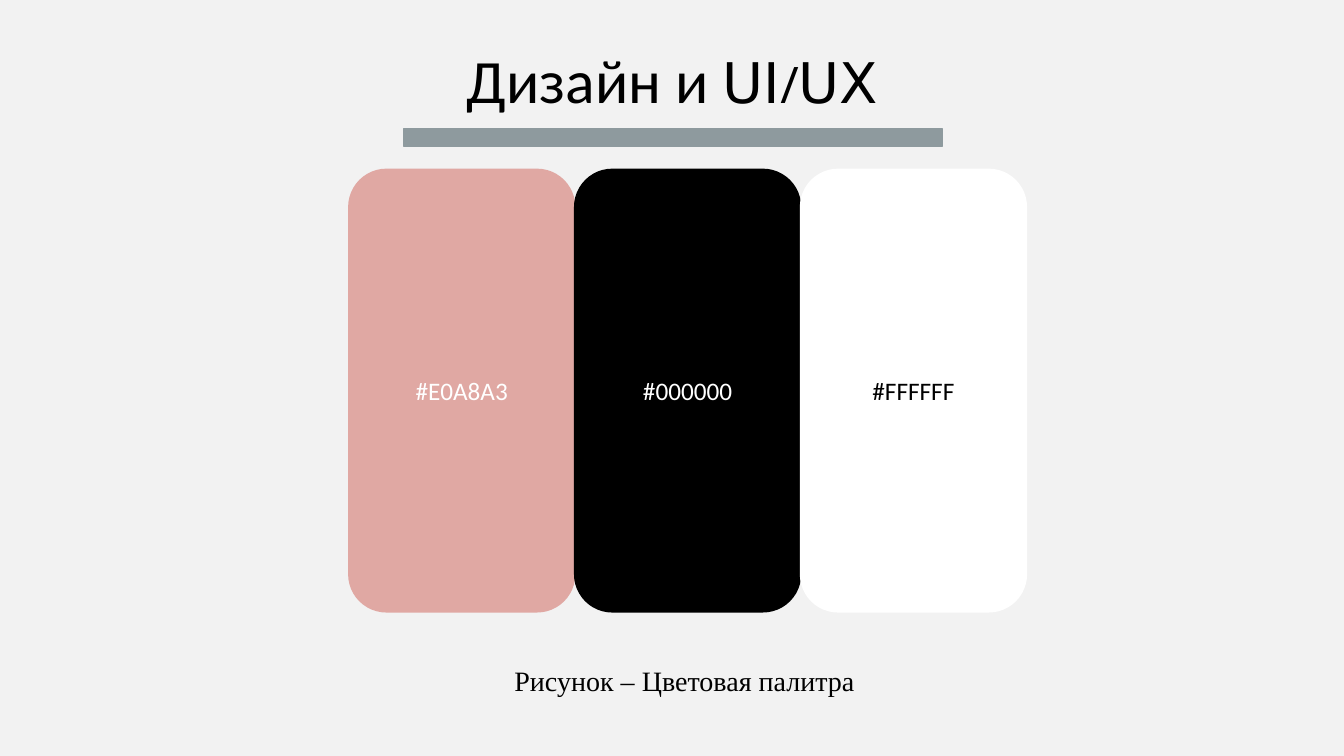
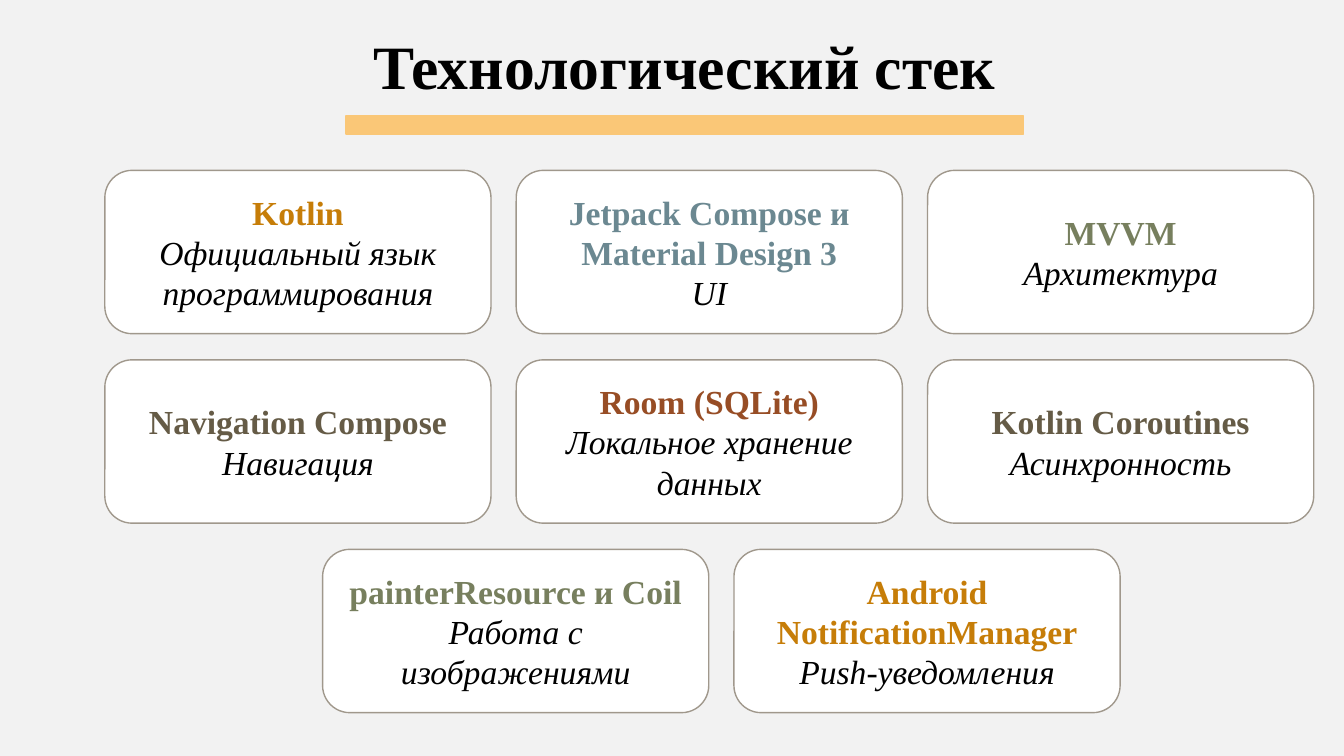
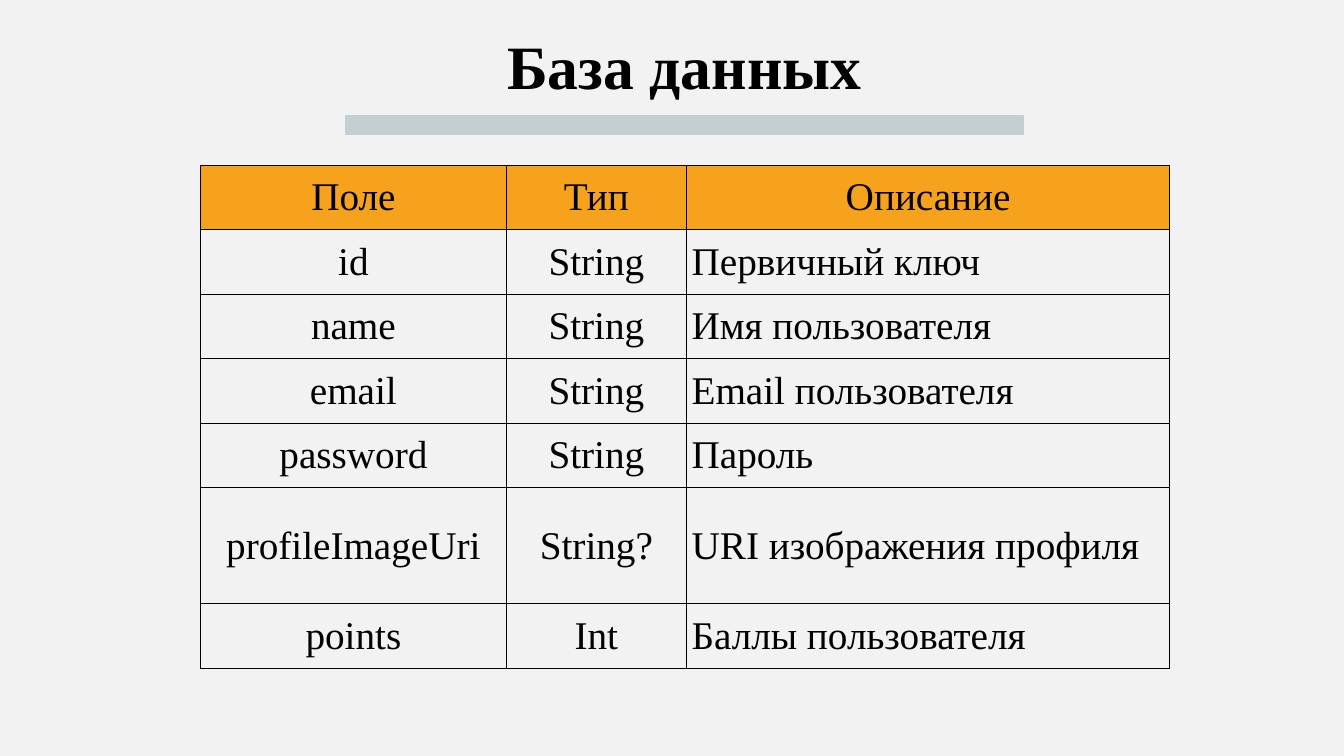
from lxml import etree
from pptx import Presentation
from pptx.dml.color import RGBColor
from pptx.enum.shapes import MSO_SHAPE
from pptx.enum.text import MSO_ANCHOR, MSO_AUTO_SIZE, PP_ALIGN
from pptx.oxml.ns import qn
from pptx.util import Pt

PX = 9144  # EMU in one px, 100 px to the inch
RECT, ROUND = MSO_SHAPE.RECTANGLE, MSO_SHAPE.ROUNDED_RECTANGLE
LEFT, CENTER = PP_ALIGN.LEFT, PP_ALIGN.CENTER
TOP, MIDDLE = MSO_ANCHOR.TOP, MSO_ANCHOR.MIDDLE
FIXED = MSO_AUTO_SIZE.NONE

BACK = RGBColor(0xF2, 0xF2, 0xF2)
BLACK = RGBColor(0x00, 0x00, 0x00)
WHITE = RGBColor(0xFF, 0xFF, 0xFF)
ROSE = RGBColor(0xE0, 0xA8, 0xA3)
STEEL = RGBColor(0x8E, 0x9A, 0x9E)
SAND = RGBColor(0xFA, 0xC7, 0x77)
MIST = RGBColor(0xC3, 0xCF, 0xD3)
ORANGE = RGBColor(0xF6, 0xA2, 0x1D)
EDGE = RGBColor(0xA0, 0x98, 0x8C)
AMBER = RGBColor(0xC6, 0x7D, 0x08)
TEAL = RGBColor(0x6B, 0x88, 0x91)
OLIVE = RGBColor(0x77, 0x7F, 0x5E)
BROWN = RGBColor(0x65, 0x5B, 0x46)
RUST = RGBColor(0x97, 0x4D, 0x25)

SERIF = "Times New Roman"
HEAD = {"name": SERIF, "size": Pt(44), "bold": True}
NAME = {"name": SERIF, "size": Pt(24), "bold": True}
ROLE = {"name": SERIF, "size": Pt(24), "italic": True}
NOTE = {"name": SERIF, "size": Pt(20)}
CELL = {"name": SERIF, "size": Pt(28)}
CODE = {"name": "Calibri", "size": Pt(18)}
WORD = {"name": "Calibri", "size": Pt(44)}
CAPS = {"name": "DejaVu Sans", "size": Pt(40)}
SLASH = {"name": "Open Sans", "size": Pt(36)}


def scale(*sizes):
    return [size * PX for size in sizes]


class Deck:
    def __init__(self):
        self.prs = Presentation()
        self.prs.slide_width, self.prs.slide_height = scale(1333, 750)
        fill = self.prs.slide_master.background.fill
        fill.solid()
        fill.fore_color.rgb = BACK

    def text(self, frame, lines, align=CENTER, anchor=MIDDLE):
        """Fill a frame with lines, each a list of (text, format, colour) runs."""
        frame.word_wrap = True
        frame.vertical_anchor = anchor
        for index, line in enumerate(lines):
            para = frame.add_paragraph() if index else frame.paragraphs[0]
            para.alignment = align
            for words, style, color in line:
                run = para.add_run()
                run.text = words
                for key, value in style.items():
                    setattr(run.font, key, value)
                run.font.color.rgb = color

    def page(self, runs, color, box=(343, 23, 672, 84), bar=(343, 115, 672, 18)):
        """Start a slide with its title and the coloured bar below it."""
        self.slide = self.prs.slides.add_slide(self.prs.slide_layouts[5])
        title = self.slide.shapes.title
        title.left, title.top, title.width, title.height = scale(*box)
        title.text_frame.auto_size = FIXED
        self.text(title.text_frame, [runs], anchor=TOP)
        self.shape(RECT, bar, color, color)

    def shape(self, kind, box, fill, line, lines=()):
        shape = self.slide.shapes.add_shape(kind, *scale(*box))
        shape.shadow.inherit = False
        shape.fill.solid()
        shape.fill.fore_color.rgb = fill
        shape.line.color.rgb = line
        shape.line.width = Pt(1)
        self.text(shape.text_frame, lines)

    def note(self, box, words):
        frame = self.slide.shapes.add_textbox(*scale(*box)).text_frame
        self.text(frame, [[(words, NOTE, BLACK)]], anchor=TOP)

    def border(self, cell):
        props = cell._tc.get_or_add_tcPr()
        for index, side in enumerate(("a:lnL", "a:lnR", "a:lnT", "a:lnB")):
            line = etree.Element(qn(side), w=str(Pt(1)))
            fill = etree.SubElement(line, qn("a:solidFill"))
            etree.SubElement(fill, qn("a:srgbClr"), val=str(BLACK))
            props.insert(index, line)

    def table(self, spot, widths, heights, rows):
        box = (*spot, sum(widths), sum(heights))
        table = self.slide.shapes.add_table(
            len(rows), len(widths), *scale(*box)).table
        table.first_row = table.horz_banding = False
        for column, width in zip(table.columns, scale(*widths)):
            column.width = width
        for row, height in zip(table.rows, scale(*heights)):
            row.height = height
        for r, row in enumerate(rows):
            for c, words in enumerate(row):
                cell = table.cell(r, c)
                cell.margin_left = cell.margin_right = 5 * PX
                cell.margin_top = cell.margin_bottom = 2 * PX
                cell.vertical_anchor = MIDDLE
                if r == 0:
                    cell.fill.solid()
                    cell.fill.fore_color.rgb = ORANGE
                else:
                    cell.fill.background()
                self.border(cell)
                align = LEFT if r and c == 2 else CENTER
                self.text(cell.text_frame, [[(words, CELL, BLACK)]], align)


def palette(deck):
    title = [("Дизайн и ", WORD, BLACK), ("UI", CAPS, BLACK),
             ("/", SLASH, BLACK), ("UX", CAPS, BLACK)]
    deck.page(title, STEEL, (378, 37, 578, 84), (400, 128, 535, 17))
    deck.note((346, 653, 666, 44), "Рисунок – Цветовая палитра")
    for index, (fill, ink) in enumerate(
            [(ROSE, WHITE), (BLACK, WHITE), (WHITE, BLACK)]):
        box = (346 + 224 * index, 168, 224, 439)
        deck.shape(ROUND, box, fill, fill, [[(f"#{fill}", CODE, ink)]])


def stack(deck):
    deck.page([("Технологический стек", HEAD, BLACK)], SAND)
    rows = [
        (104, [("Kotlin", "Официальный язык программирования", AMBER),
               ("Jetpack Compose и Material Design 3", "UI", TEAL),
               ("MVVM", "Архитектура", OLIVE)]),
        (104, [("Navigation Compose", "Навигация", BROWN),
               ("Room (SQLite)", "Локальное хранение данных", RUST),
               ("Kotlin Coroutines", "Асинхронность", BROWN)]),
        (320, [("painterResource и Coil", "Работа с изображениями", OLIVE),
               ("Android NotificationManager", "Push-уведомления", AMBER)]),
    ]
    for r, (left, cards) in enumerate(rows):
        for c, (name, role, color) in enumerate(cards):
            box = (left + 408 * c, 169 + 188 * r, 383, 162)
            deck.shape(ROUND, box, WHITE, EDGE,
                       [[(name, NAME, color)], [(role, ROLE, BLACK)]])


def base(deck):
    deck.page([("База данных", HEAD, BLACK)], MIST)
    rows = [
        ("Поле", "Тип", "Описание"),
        ("id", "String", "Первичный ключ"),
        ("name", "String", "Имя пользователя"),
        ("email", "String", "Email пользователя"),
        ("password", "String", "Пароль"),
        ("profileImageUri", "String?", "URI изображения профиля"),
        ("points", "Int", "Баллы пользователя"),
    ]
    heights = [64] * 5 + [115, 64]
    deck.table((199, 164), (303, 179, 479), heights, rows)


def main():
    deck = Deck()
    for build in (palette, stack, base):
        build(deck)
    deck.prs.save("out.pptx")


if __name__ == "__main__":
    main()
